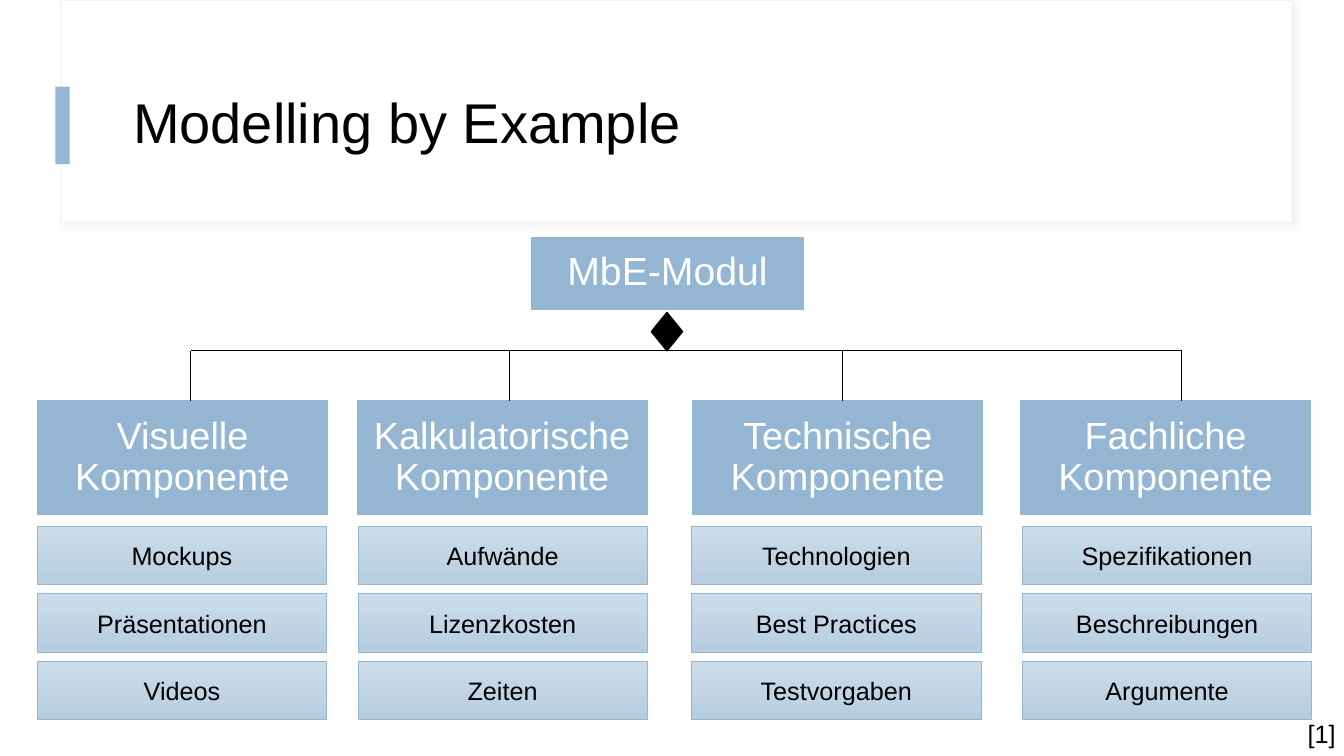
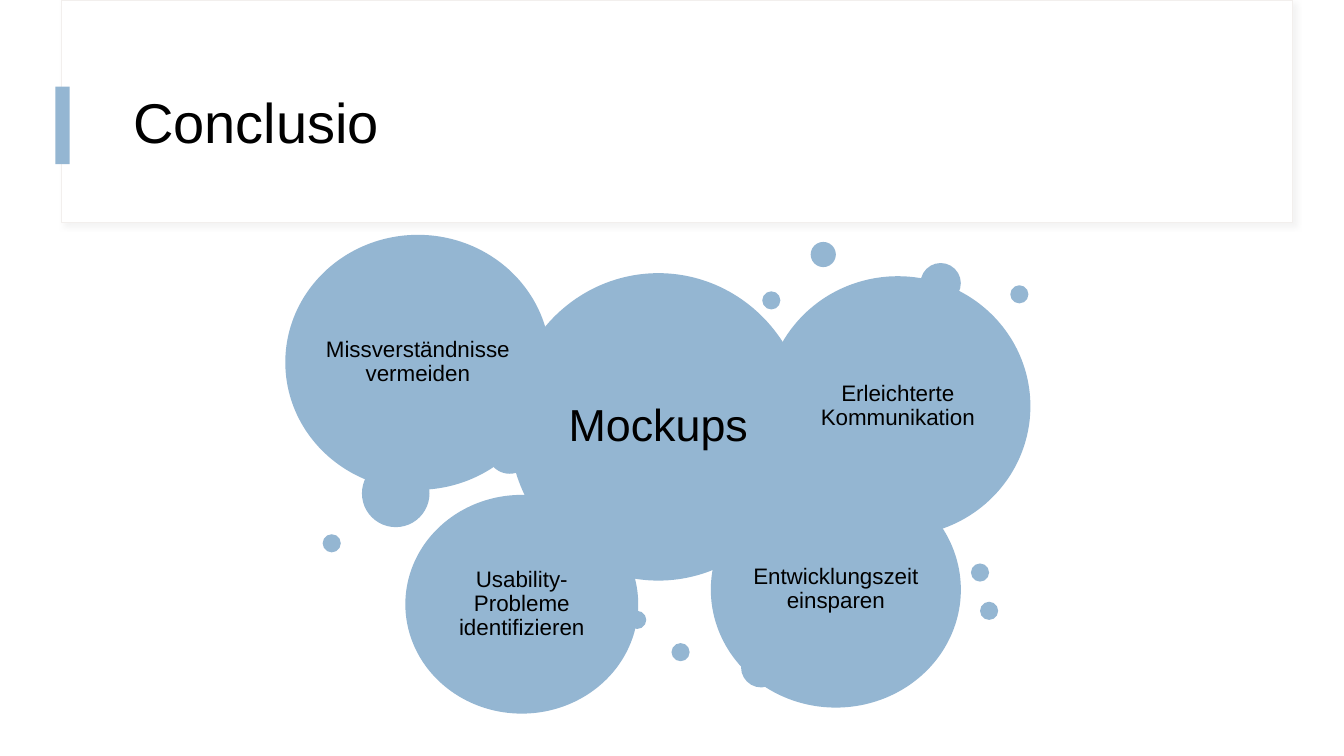
from dataclasses import dataclass

from lxml import etree
from pptx import Presentation
from pptx.dml.color import RGBColor
from pptx.enum.shapes import MSO_CONNECTOR, MSO_SHAPE
from pptx.enum.text import MSO_ANCHOR, MSO_AUTO_SIZE, PP_ALIGN
from pptx.oxml.ns import qn
from pptx.util import Inches, Pt

RECT, OVAL, GEM = MSO_SHAPE.RECTANGLE, MSO_SHAPE.OVAL, MSO_SHAPE.DIAMOND
LEFT, CENTER = PP_ALIGN.LEFT, PP_ALIGN.CENTER
MIDDLE, FIXED = MSO_ANCHOR.MIDDLE, MSO_AUTO_SIZE.NONE
STRAIGHT = MSO_CONNECTOR.STRAIGHT


@dataclass(frozen=True)
class Theme:
    font: str = "Arial"
    blue: str = "94B6D2"
    white: str = "FFFFFF"
    black: str = "000000"
    edge: str = "F2EFED"
    shade: str = "D9D9D9"
    fade: tuple = ("CCDCE9", "B6CDE1")
    title: int = 40
    hub: int = 32
    root: int = 28
    head: int = 27
    body: int = 18
    note: int = 16


THEME = Theme()


def rgb(code):
    return RGBColor.from_string(code)


class Deck:
    def __init__(self, theme):
        self.theme = theme
        self.show = Presentation()
        self.show.slide_width = Inches(13.33)
        self.show.slide_height = Inches(7.5)
        self.layout = self.show.slide_layouts[5]
        self.slide = None

    def page(self, title):
        first = self.slide is None
        self.slide = self.show.slides.add_slide(self.layout)
        if first:
            self.frame()
        shape = self.slide.shapes.title
        shape.left, shape.top = Inches(1.22), Inches(0.6)
        shape.width, shape.height = Inches(11.12), Inches(1.29)
        self.text(shape, title, self.theme.title, align=LEFT, space=0.9)

    def frame(self):
        """Draw the shared title frame and move it to the layout."""
        look = self.theme
        card = self.shape(RECT, (0.61, 0, 12.21, 2.21), look.white, look.edge, 0.75)
        self.shadow(card)
        bar = self.shape(RECT, (0.55, 0.86, 0.14, 0.77), look.blue)
        tree = self.layout.shapes.element
        for spot, part in enumerate((card, bar), 2):
            tree.insert(spot, part.element)

    def shadow(self, shape):
        props = shape.element.spPr
        effect = props.find(qn("a:effectLst"))
        outer = etree.SubElement(
            effect, qn("a:outerShdw"), blurRad=str(Pt(4)), dist=str(Pt(3)),
            dir="2700000", algn="tl", rotWithShape="0")
        tone = etree.SubElement(outer, qn("a:srgbClr"), val=self.theme.shade)
        etree.SubElement(tone, qn("a:alpha"), val="30000")

    def shape(self, kind, box, fill, line=None, width=1):
        """Add a shape; a pair of fill colours gives a downward gradient."""
        shape = self.slide.shapes.add_shape(kind, *map(Inches, box))
        shape.shadow.inherit = False
        if isinstance(fill, tuple):
            shape.fill.gradient()
            shape.fill.gradient_angle = 270
            for stop, code in zip(shape.fill.gradient_stops, fill):
                stop.color.rgb = rgb(code)
        else:
            shape.fill.solid()
            shape.fill.fore_color.rgb = rgb(fill)
        if line:
            shape.line.color.rgb = rgb(line)
            shape.line.width = Pt(width)
        else:
            shape.line.fill.background()
        return shape

    def text(self, shape, words, size, color=None, align=CENTER, space=None, pad=0.1):
        frame = shape.text_frame
        frame.word_wrap = True
        frame.auto_size = FIXED
        frame.vertical_anchor = MIDDLE
        frame.margin_left = frame.margin_right = Inches(pad)
        frame.margin_top = frame.margin_bottom = Inches(min(pad, 0.05))
        para = frame.paragraphs[0]
        para.alignment = align
        para.line_spacing = space
        run = para.add_run()
        run.text = words
        run.font.name = self.theme.font
        run.font.size = Pt(size)
        run.font.color.rgb = rgb(color or self.theme.black)

    def head(self, box, words, size):
        look = self.theme
        shape = self.shape(RECT, box, look.blue, look.white)
        self.text(shape, words, size, look.white, space=0.9)

    def item(self, box, words):
        look = self.theme
        shape = self.shape(RECT, box, look.fade, look.blue, 0.5)
        self.text(shape, words, look.body)

    def disc(self, box, words=None, size=None):
        shape = self.shape(OVAL, box, self.theme.blue)
        if words:
            self.text(shape, words, size or self.theme.note, space=0.9, pad=0)

    def label(self, box, words):
        shape = self.slide.shapes.add_textbox(*map(Inches, box))
        self.text(shape, words, self.theme.body, align=LEFT)

    def line(self, *ends):
        line = self.slide.shapes.add_connector(STRAIGHT, *map(Inches, ends))
        line.line.color.rgb = rgb(self.theme.black)
        line.line.width = Pt(0.5)
        etree.SubElement(line.element.spPr, qn("a:effectLst"))


# Head left, item left, branch x, head text, items
COLUMNS = (
    (0.36, 0.37, 1.89, "Visuelle Komponente",
     ("Mockups", "Präsentationen", "Videos")),
    (3.53, 3.55, 5.05, "Kalkulatorische Komponente",
     ("Aufwände", "Lizenzkosten", "Zeiten")),
    (6.86, 6.86, 8.35, "Technische Komponente",
     ("Technologien", "Best Practices", "Testvorgaben")),
    (10.11, 10.14, 11.72, "Fachliche Komponente",
     ("Spezifikationen", "Beschreibungen", "Argumente")),
)

BUBBLES = (
    ((2.83, 2.33, 2.63, 2.53), "Missverständnisse vermeiden"),
    ((7.59, 2.74, 2.63, 2.58), "Erleichterte Kommunikation"),
    ((7.05, 4.68, 2.48, 2.34), "Entwicklungszeit einsparen"),
    ((4.02, 4.91, 2.31, 2.17), "Usability-Probleme identifizieren"),
)

# Diameter and the top left corners of the dots of that size
DOTS = (
    (0.18, ((6.66, 6.38), (8.2, 4.14), (3.2, 5.3), (4.53, 5.23), (9.63, 5.59),
            (10.02, 2.83), (9.72, 5.97), (6.23, 6.06), (7.56, 2.89))),
    (0.25, ((4.99, 2.84), (8.04, 2.4))),
    (0.4, ((7.35, 6.42), (9.13, 2.61))),
    (0.45, ((4.83, 4.25),)),
    (0.67, ((3.59, 4.56),)),
)


def model(deck):
    look = deck.theme
    deck.page("Modelling by Example")
    deck.head((5.26, 2.34, 2.72, 0.74), "MbE-Modul", look.root)
    deck.shape(GEM, (6.46, 3.1, 0.31, 0.38), look.black, look.black)
    rail = 3.48
    deck.line(COLUMNS[0][2], rail, COLUMNS[-1][2], rail)
    for left, inner, branch, words, items in COLUMNS:
        deck.head((left, 3.96, 2.9, 1.16), words, look.head)
        deck.line(branch, rail, branch, 3.98)
        for row, name in enumerate(items):
            deck.item((inner, 5.22 + 0.67 * row, 2.87, 0.58), name)
    deck.label((12.87, 7.08, 0.5, 0.4), "[1]")


def finish(deck):
    deck.page("Conclusio")
    for size, spots in DOTS:
        for left, top in spots:
            deck.disc((left, top, size, size))
    for box, words in BUBBLES:
        deck.disc(box, words)
    deck.disc((5.05, 2.71, 2.96, 3.05), "Mockups", deck.theme.hub)


def main():
    deck = Deck(THEME)
    model(deck)
    finish(deck)
    deck.show.save("out.pptx")


if __name__ == "__main__":
    main()
